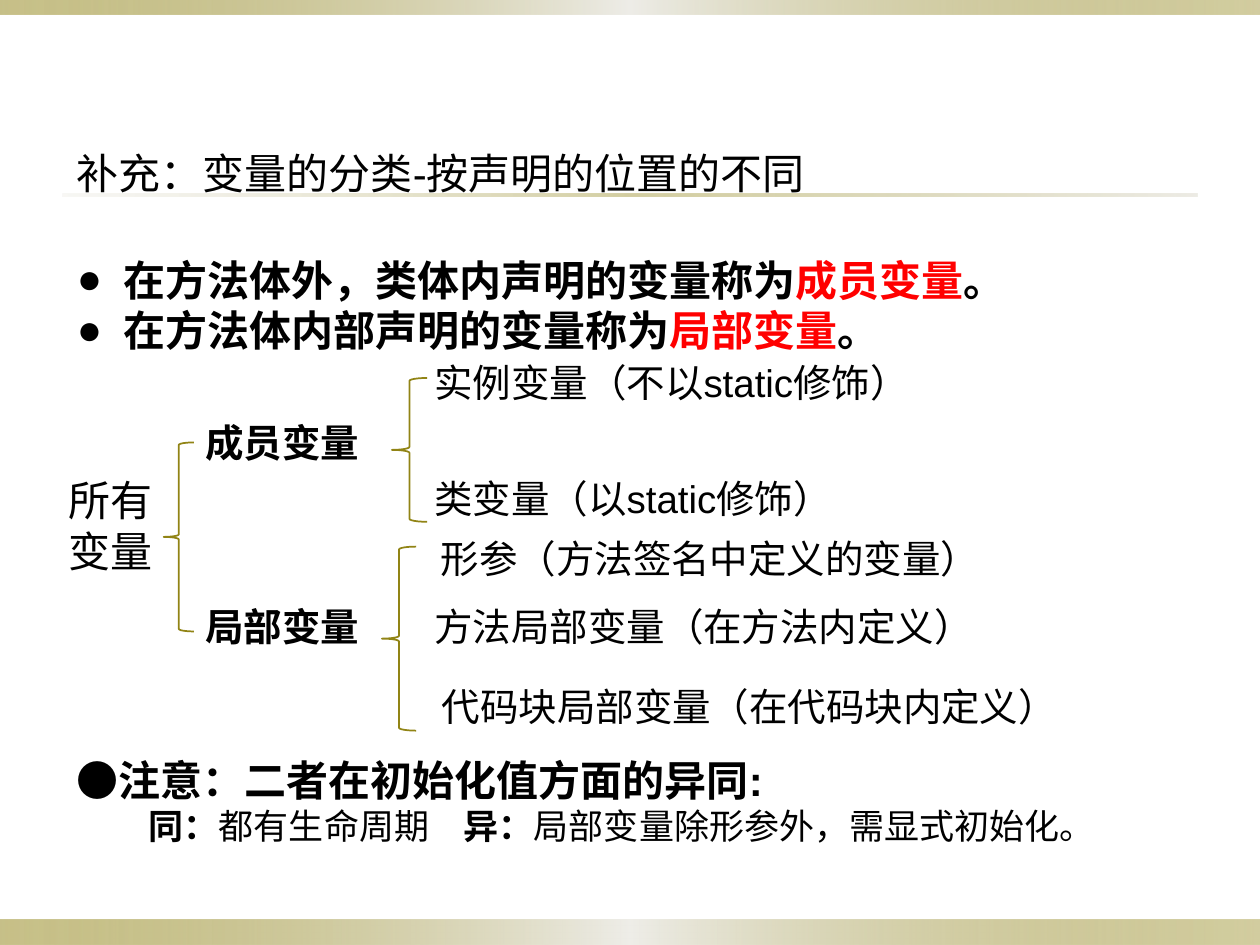
from lxml import etree
from pptx import Presentation
from pptx.dml.color import RGBColor
from pptx.enum.shapes import MSO_SHAPE
from pptx.oxml import parse_xml
from pptx.oxml.ns import nsdecls, qn
from pptx.util import Cm, Pt

RECT = MSO_SHAPE.RECTANGLE
LEFT_BRACE = MSO_SHAPE.LEFT_BRACE
BLACK = RGBColor(0x00, 0x00, 0x00)
RED = RGBColor(0xFF, 0x00, 0x00)
OLIVE = RGBColor(0x91, 0x84, 0x15)
PALE = RGBColor(0xEE, 0xED, 0xE8)
SAND = RGBColor(0xDC, 0xD9, 0xCC)

prs = Presentation()
prs.slide_width, prs.slide_height = Cm(25.4), Cm(19.05)
s = prs.slides.add_slide(prs.slide_layouts[6])


def add_shape(kind, x, y, w, h):
    sp = s.shapes.add_shape(kind, Cm(x), Cm(y), Cm(w), Cm(h))
    sp.shadow.inherit = False
    sp.fill.background()
    sp.line.fill.background()
    return sp


def add_text(x, y, w, h, size, paragraphs):
    tf = s.shapes.add_textbox(Cm(x), Cm(y), Cm(w), Cm(h)).text_frame
    tf.word_wrap = True
    for i, runs in enumerate(paragraphs):
        p = tf.paragraphs[0] if i == 0 else tf.add_paragraph()
        for text, bold, color in runs:
            r = p.add_run()
            r.text = text
            r.font.color.rgb = color
            for name, value in {"name": "Arial", "size": Pt(size), "bold": bold}.items():
                setattr(r.font, name, value)
    return tf


band = [(0, OLIVE, 50), (50, PALE, 100), (100, OLIVE, 40)]
rule = [(0, SAND, 20), (50, OLIVE, 40), (100, SAND, 50)]
for x, y, w, h, stops in [
    (0, 18.54, 25.4, 0.51, band),
    (0, 0, 25.4, 0.3, band),
    (1.27, 3.91, 22.86, 0.05, rule),
]:
    sp = add_shape(RECT, x, y, w, h)
    gs = "".join(
        f'<a:gs pos="{pos * 1000}"><a:srgbClr val="{color}">'
        f'<a:alpha val="{alpha * 1000}"/></a:srgbClr></a:gs>'
        for pos, color, alpha in stops
    )
    no_fill = sp._element.spPr.find(qn("a:noFill"))
    no_fill.getparent().replace(no_fill, parse_xml(
        f'<a:gradFill {nsdecls("a")} rotWithShape="1"><a:gsLst>{gs}</a:gsLst>'
        '<a:lin ang="0" scaled="1"/></a:gradFill>'
    ))

add_text(1.3, 2.84, 16.41, 1.27, 24, [[("补充：变量的分类-按声明的位置的不同", False, BLACK)]])

tf = add_text(1.3, 5, 22.4, 2.3, 24, [
    [(lead, True, BLACK), (term, True, RED), ("。", True, BLACK)]
    for lead, term in [
        ("在方法体外，类体内声明的变量称为", "成员变量"),
        ("在方法体内部声明的变量称为", "局部变量"),
    ]
])
for p in tf.paragraphs:
    pPr = p._p.get_or_add_pPr()
    pPr.set("marL", str(Cm(0.95)))
    pPr.set("indent", str(-Cm(0.95)))
    etree.SubElement(pPr, qn("a:buFont")).set("typeface", "Arial")
    etree.SubElement(pPr, qn("a:buChar")).set("char", "●")

for x, y, w, h in [
    (3.3, 8.92, 0.61, 3.81),
    (7.9, 7.62, 0.71, 2.9),
    (7.7, 11.02, 0.69, 3.71),
]:
    sp = add_shape(LEFT_BRACE, x, y, w, h)
    sp.line.color.rgb = OLIVE
    sp.line.width = Pt(1)

for x, y, w, text, bold in [
    (3.89, 8.33, 4.19, "成员变量", True),
    (3.89, 12.04, 4.19, "局部变量", True),
    (8.51, 7.11, 12.6, "实例变量（不以static修饰）", False),
    (8.51, 9.45, 12.6, "类变量（以static修饰）", False),
    (8.64, 10.67, 12.6, "形参（方法签名中定义的变量）", False),
    (8.51, 12.04, 12.6, "方法局部变量（在方法内定义）", False),
    (8.66, 13.64, 13.64, "代码块局部变量（在代码块内定义）", False),
]:
    add_text(x, y, w, 1.19, 22, [[(text, bold, BLACK)]])

add_text(1.14, 9.45, 2.34, 2.31, 24, [[(text, False, BLACK)] for text in ("所有", "变量")])

add_text(1.3, 15.09, 22.4, 1.2, 24, [[("●注意：二者在初始化值方面的异同:", True, BLACK)]])
tf = add_text(1.3, 16.1, 22.4, 1.1, 20, [[
    ("同：", True, BLACK),
    ("都有生命周期\t", False, BLACK),
    ("异：", True, BLACK),
    ("局部变量除形参外，需显式初始化。", False, BLACK),
]])
pPr = tf.paragraphs[0]._p.get_or_add_pPr()
pPr.set("marL", str(Cm(1.45)))
pPr.set("indent", "0")
tab = etree.SubElement(etree.SubElement(pPr, qn("a:tabLst")), qn("a:tab"))
tab.set("pos", str(Cm(8.07)))
tab.set("algn", "l")

prs.save("out.pptx")
